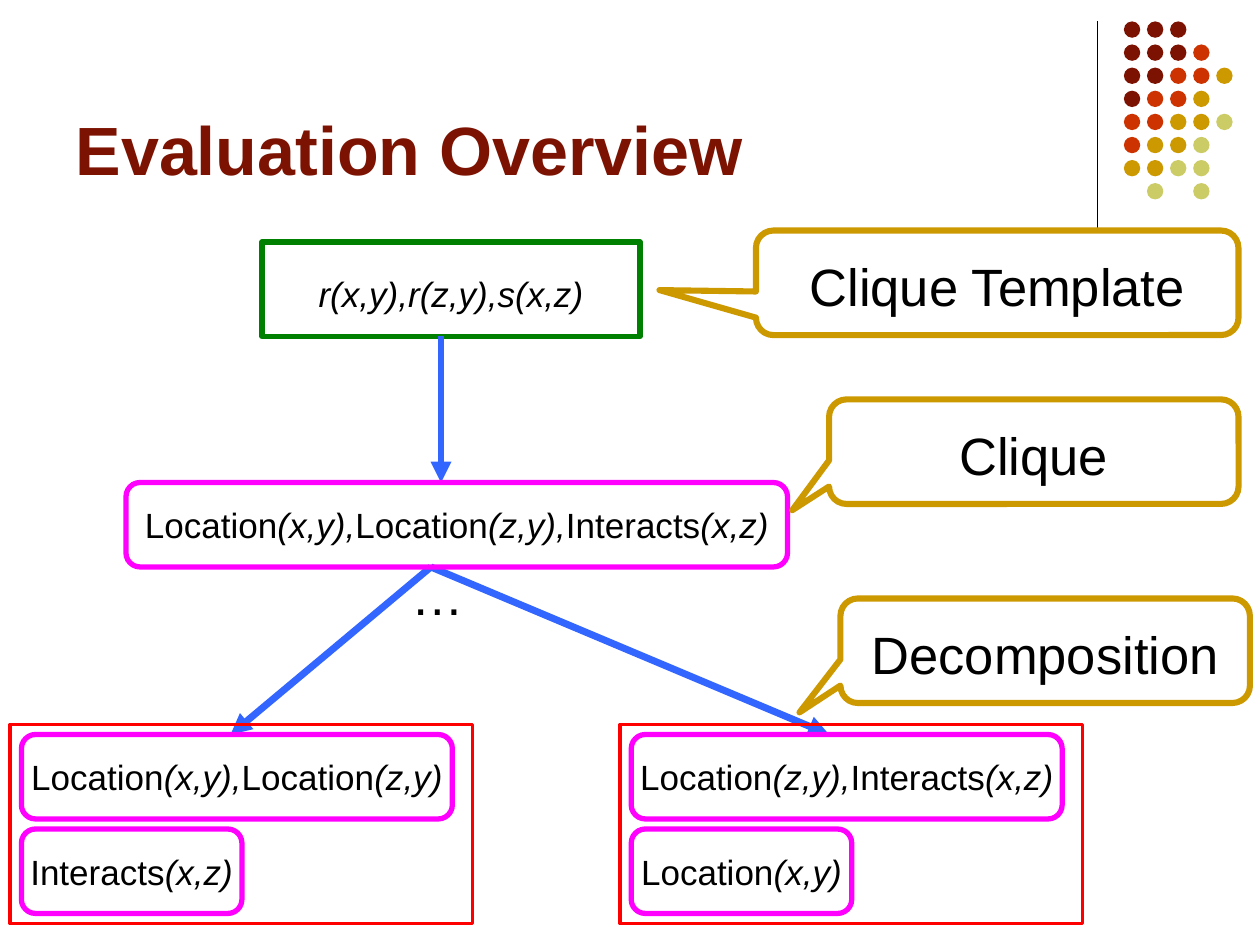
from dataclasses import dataclass
from typing import NamedTuple

from lxml.etree import SubElement
from pptx import Presentation
from pptx.dml.color import RGBColor
from pptx.enum.shapes import MSO_CONNECTOR as Connector, MSO_SHAPE as Preset
from pptx.enum.text import MSO_ANCHOR as Anchor, MSO_AUTO_SIZE as AutoSize, PP_ALIGN as Align
from pptx.oxml.ns import qn
from pptx.util import Inches, Pt


@dataclass(frozen=True)
class Theme:
    font: str = "Arial"
    text: str = "000000"
    title: str = "7C1302"
    template: str = "008000"
    clique: str = "FF00FF"
    frame: str = "FF0000"
    arrow: str = "3366FF"
    callout: str = "CC9900"
    title_size: int = 39
    callout_size: int = 30
    formula_size: int = 20


class Box(NamedTuple):
    left: float
    top: float
    width: float
    height: float

    def lengths(self) -> list:
        return [Inches(value) for value in self]


class Point(NamedTuple):
    x: float
    y: float


class Atom(NamedTuple):
    predicate: str
    arguments: str


class Callout(NamedTuple):
    text: str
    box: Box
    tip: tuple


class Arrow(NamedTuple):
    start: Point
    end: Point


THEME = Theme()

DOT_ROWS = ("AAA", "AAAB", "AABBC", "ABBC", "BBCCD", "BCCD", "CCDD", " D D")
DOT_COLORS = {"A": "7C1302", "B": "CC3300", "C": "CC9900", "D": "CCCC66"}
DOT_ORIGIN = Point(8.92, 0.17)
DOT_PITCH = 0.55 / 3
DOT_SIZE = 0.13

LOCATION_XY = Atom("Location", "(x,y)")
LOCATION_ZY = Atom("Location", "(z,y)")
INTERACTS_XZ = Atom("Interacts", "(x,z)")

CLIQUE_BOTTOM = Point(3.42, 4.5)
ARROWS = (
    Arrow(Point(3.5, 2.67), Point(3.5, 3.83)),
    Arrow(CLIQUE_BOTTOM, Point(1.83, 5.83)),
    Arrow(CLIQUE_BOTTOM, Point(6.58, 5.83)),
)
CALLOUTS = (
    Callout("Clique Template", Box(6, 1.83, 3.83, 0.83), (-0.7, 0.07)),
    Callout("Clique", Box(6.58, 3.17, 3.25, 0.83), (-0.59, 0.56)),
    Callout("Decomposition", Box(6.67, 4.75, 3.25, 0.83), (-0.6, 0.59)),
)


def rgb(color: str) -> RGBColor:
    return RGBColor.from_string(color)


def format_paragraph(paragraph, size: int, color: str = THEME.text, align=Align.CENTER) -> None:
    paragraph.alignment = align
    paragraph.font.name = THEME.font
    paragraph.font.size = Pt(size)
    paragraph.font.color.rgb = rgb(color)


def add_outline(slide, preset, box: Box, color: str, width: float):
    shape = slide.shapes.add_shape(preset, *box.lengths())
    shape.shadow.inherit = False
    shape.fill.background()
    shape.line.color.rgb = rgb(color)
    shape.line.width = Pt(width)
    return shape


def add_line(slide, start: Point, end: Point, color: str, width: float):
    points = [Inches(value) for value in (*start, *end)]
    line = slide.shapes.add_connector(Connector.STRAIGHT, *points)
    line.line.color.rgb = rgb(color)
    line.line.width = Pt(width)
    SubElement(line._element.spPr, qn("a:effectLst"))
    return line


def add_arrow(slide, arrow: Arrow) -> None:
    line = add_line(slide, arrow.start, arrow.end, THEME.arrow, 4)
    SubElement(line.line._get_or_add_ln(), qn("a:tailEnd"), type="triangle")


def add_dots(slide) -> None:
    group = slide.shapes.add_group_shape()
    for row, keys in enumerate(DOT_ROWS):
        for column, key in enumerate(keys):
            if key not in DOT_COLORS:
                continue
            box = Box(DOT_ORIGIN.x + column * DOT_PITCH, DOT_ORIGIN.y + row * DOT_PITCH,
                      DOT_SIZE, DOT_SIZE)
            dot = group.shapes.add_shape(Preset.OVAL, *box.lengths())
            dot.shadow.inherit = False
            dot.fill.solid()
            dot.fill.fore_color.rgb = rgb(DOT_COLORS[key])
            dot.line.fill.background()


def add_title(slide, text: str) -> None:
    title = slide.shapes.title
    title.left, title.top, title.width, title.height = Box(0.5, 0.13, 8.25, 1.42).lengths()
    frame = title.text_frame
    frame.text = text
    frame.auto_size = AutoSize.NONE
    frame.vertical_anchor = Anchor.BOTTOM
    paragraph = frame.paragraphs[0]
    format_paragraph(paragraph, THEME.title_size, THEME.title, Align.LEFT)
    paragraph.font.bold = True


def formula_paragraph(shape):
    frame = shape.text_frame
    frame.word_wrap = False
    frame.vertical_anchor = Anchor.MIDDLE
    paragraph = frame.paragraphs[0]
    format_paragraph(paragraph, THEME.formula_size)
    return paragraph


def add_template(slide, text: str, box: Box) -> None:
    shape = add_outline(slide, Preset.RECTANGLE, box, THEME.template, 3)
    shape.text_frame.margin_top = Inches(0.12)
    paragraph = formula_paragraph(shape)
    paragraph.font.italic = True
    paragraph.add_run().text = text


def add_clique(slide, box: Box, *atoms: Atom) -> None:
    """Draw a rounded box of atoms: upright predicates, italic arguments."""
    shape = add_outline(slide, Preset.ROUNDED_RECTANGLE, box, THEME.clique, 3)
    paragraph = formula_paragraph(shape)
    for index, atom in enumerate(atoms, start=1):
        paragraph.add_run().text = atom.predicate
        arguments = paragraph.add_run()
        arguments.text = atom.arguments + ("," if index < len(atoms) else "")
        arguments.font.italic = True


def add_decomposition(slide, left: float, pair: tuple, single: Atom) -> None:
    add_clique(slide, Box(left + 0.09, 5.83, 3.42, 0.67), *pair)
    add_clique(slide, Box(left + 0.09, 6.58, 1.75, 0.67), single)
    add_outline(slide, Preset.RECTANGLE, Box(left, 5.75, 3.67, 1.58), THEME.frame, 2)


def add_ellipsis(slide) -> None:
    text_box = slide.shapes.add_textbox(*Box(3.17, 4.42, 0.83, 0.6).lengths())
    text_box.text_frame.word_wrap = True
    text_box.text_frame.text = "…"
    format_paragraph(text_box.text_frame.paragraphs[0], THEME.callout_size, align=Align.LEFT)


def add_callout(slide, callout: Callout) -> None:
    shape = add_outline(slide, Preset.ROUNDED_RECTANGULAR_CALLOUT, callout.box, THEME.callout, 3.5)
    shape.adjustments[0], shape.adjustments[1] = callout.tip
    frame = shape.text_frame
    frame.text = callout.text
    frame.vertical_anchor = Anchor.TOP
    frame.margin_top = Inches(0.15)
    format_paragraph(frame.paragraphs[0], THEME.callout_size)


def main() -> None:
    presentation = Presentation()
    presentation.slide_width, presentation.slide_height = Inches(10), Inches(7.5)
    slide = presentation.slides.add_slide(presentation.slide_layouts[5])

    add_line(slide, Point(8.71, 0.17), Point(8.71, 1.83), THEME.text, 0.75)
    add_dots(slide)
    add_title(slide, "Evaluation Overview")
    add_template(slide, "r(x,y),r(z,y),s(x,z)", Box(2.08, 1.92, 3, 0.75))
    add_ellipsis(slide)
    for arrow in ARROWS:
        add_arrow(slide, arrow)
    add_clique(slide, Box(1, 3.83, 5.25, 0.67), LOCATION_XY, LOCATION_ZY, INTERACTS_XZ)
    add_decomposition(slide, 0.08, (LOCATION_XY, LOCATION_ZY), INTERACTS_XZ)
    add_decomposition(slide, 4.92, (LOCATION_ZY, INTERACTS_XZ), LOCATION_XY)
    for callout in CALLOUTS:
        add_callout(slide, callout)
    presentation.save("out.pptx")


if __name__ == "__main__":
    main()
